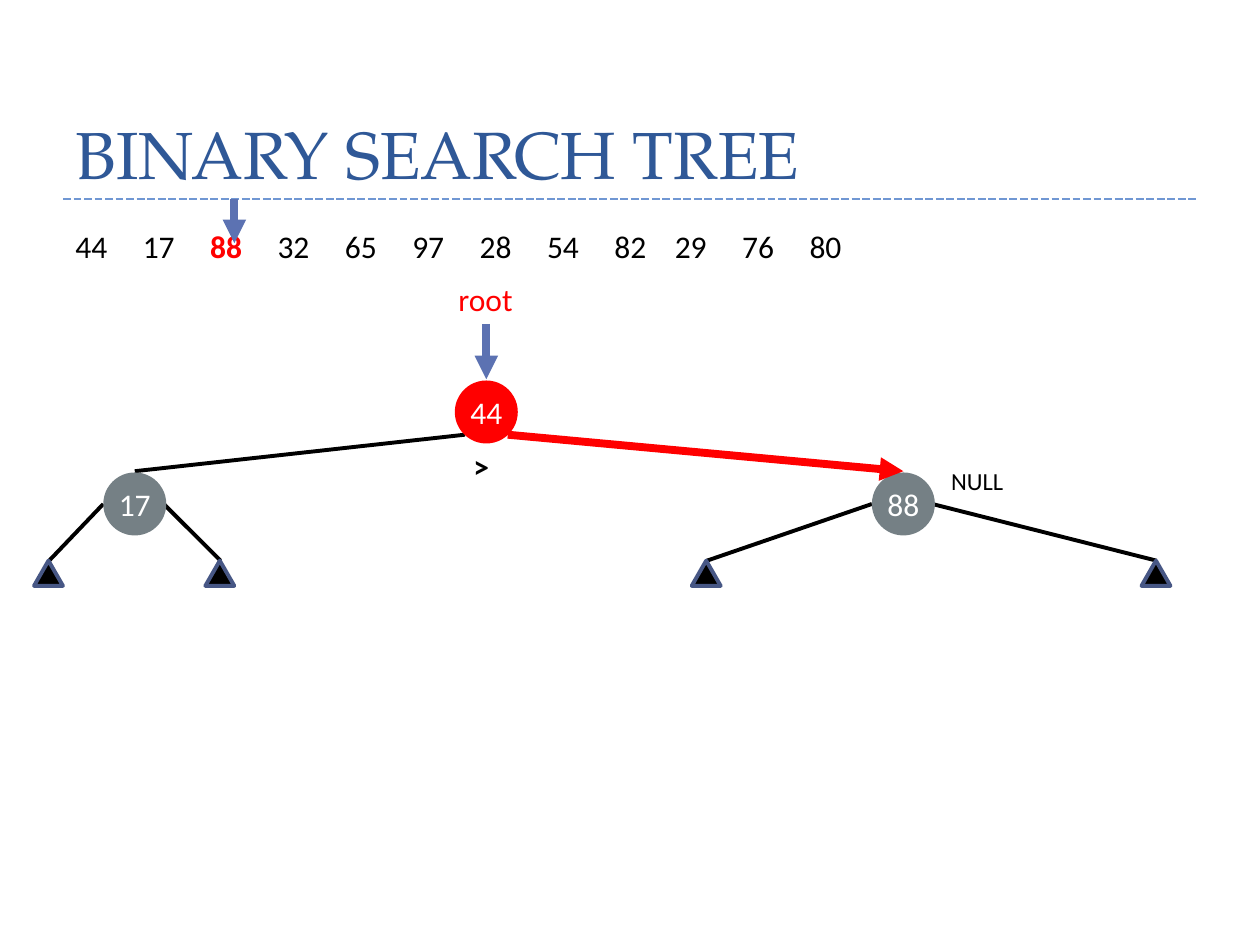
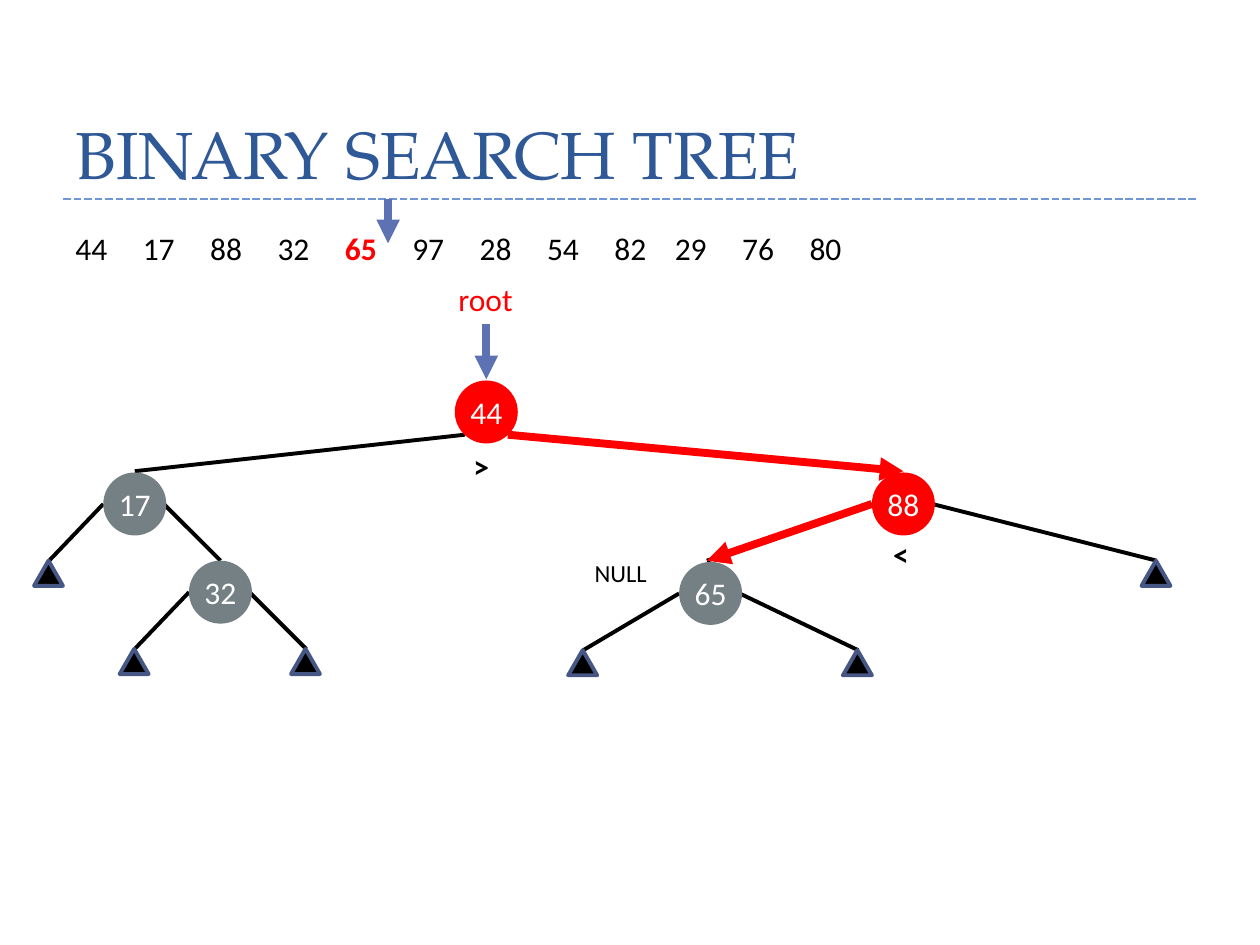
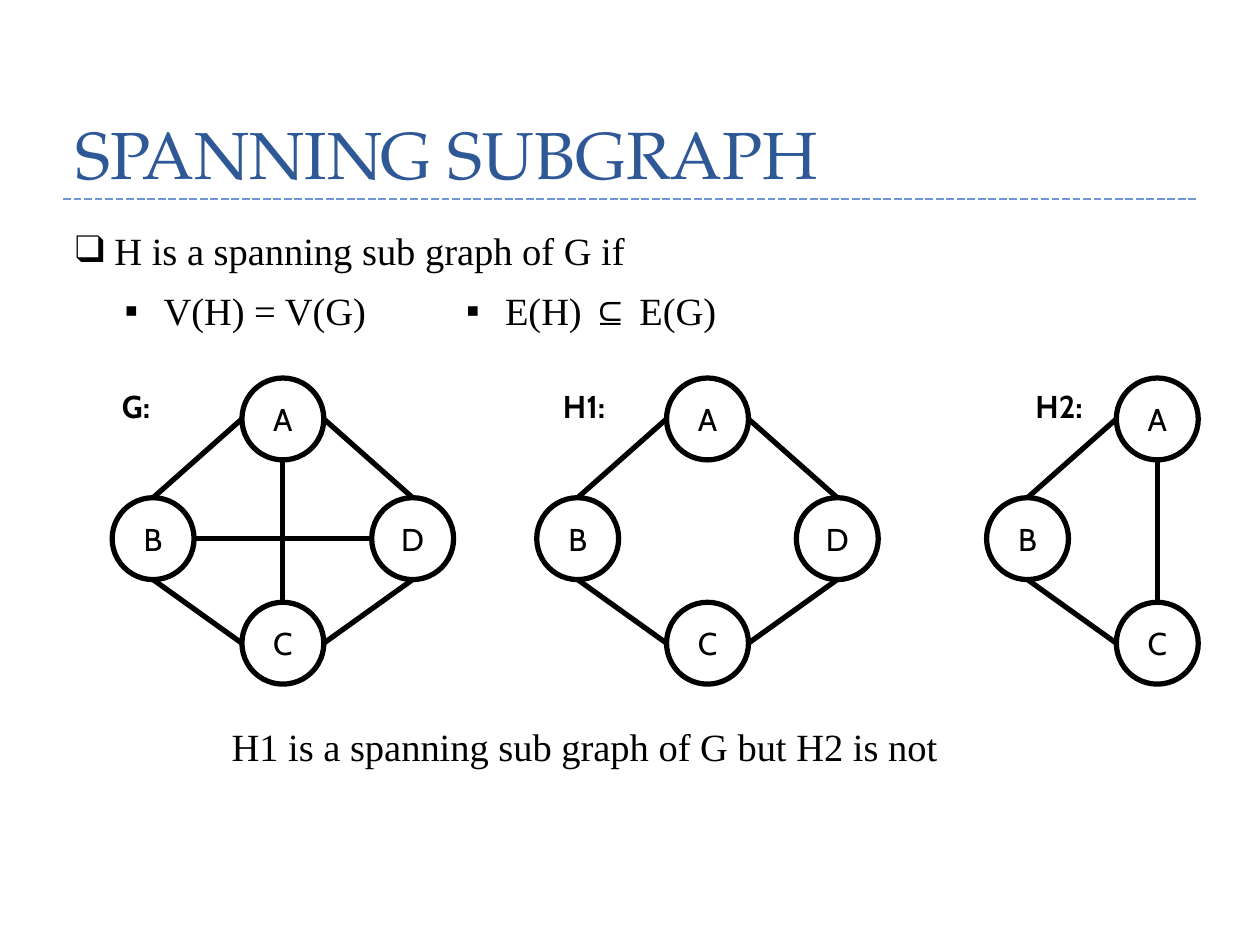
from dataclasses import dataclass

from lxml import etree
from pptx import Presentation
from pptx import util as u
from pptx.dml import color
from pptx.enum import dml, shapes, text
from pptx.oxml import ns


@dataclass(frozen=True)
class Theme:
    heading: str = "2F5897"
    rule: str = "7097D3"
    ink: str = "000000"
    paper: str = "FFFFFF"
    alert: str = "FF0000"
    pointer: str = "5C72B2"
    node: str = "758085"
    leaf_edge: str = "475785"
    heading_font: str = "TeX Gyre Pagella"
    tree_font: str = "Calibri"
    prose_font: str = "Times New Roman"
    graph_font: str = "Cabin"
    heading_size: float = 38
    heading_leading: float = 58
    prose_size: float = 22
    label_size: float = 18
    note_size: float = 14
    rule_width: float = 1.5
    edge_width: float = 2.25
    graph_width: float = 3
    arrow_width: float = 4.5


KEYS = [44, 17, 88, 32, 65, 97, 28, 54, 82, 29, 76, 80]
KEY_STEP = 38.5
SHORT_STEP_KEY = 29
SHORTENING = 4
NODE = 0.5
LEVEL = 0.7
VERTEX = 0.65
RIGHT_ROOT = (4.03, 3.45)
RIGHT_CHILD = (7.17, 3.74)

SIDES = {
    "top": (VERTEX / 2, 0),
    "left": (0, VERTEX / 2),
    "bottom": (VERTEX / 2, VERTEX),
    "right": (VERTEX, VERTEX / 2),
}
VERTICES = {"A": (1.03, 0), "B": (0, 0.95), "C": (1.03, 1.78), "D": (2.06, 0.95)}
RING = [
    ("A", "left", "B", "top"),
    ("B", "bottom", "C", "left"),
    ("C", "right", "D", "bottom"),
    ("D", "top", "A", "right"),
]
ACROSS = ("B", "right", "D", "left")
DOWN = ("A", "bottom", "C", "top")


def add_xml(parent, tag, **attributes):
    return etree.SubElement(parent, ns.qn(tag), attributes)


class Deck:
    def __init__(self, theme):
        self.theme = theme
        self.presentation = Presentation()
        self.presentation.slide_width = u.Inches(10)
        self.presentation.slide_height = u.Inches(7.5)
        self.slide = None

    def set_font(self, font, name, size, ink, bold=False):
        font.name = name
        font.size = u.Pt(size)
        font.bold = bold
        font.color.rgb = color.RGBColor.from_string(ink)

    def start(self, heading):
        theme = self.theme
        layout = self.presentation.slide_layouts.get_by_name("Title Only")
        self.slide = self.presentation.slides.add_slide(layout)
        title = self.slide.shapes.title
        title.left, title.top = u.Inches(0.5), u.Inches(-0.17)
        title.width, title.height = u.Inches(9), u.Inches(1.75)
        frame = title.text_frame
        frame.text = heading
        frame.vertical_anchor = text.MSO_ANCHOR.BOTTOM
        frame.auto_size = text.MSO_AUTO_SIZE.NONE
        paragraph = frame.paragraphs[0]
        paragraph.alignment = text.PP_ALIGN.LEFT
        paragraph.line_spacing = u.Pt(theme.heading_leading)
        self.set_font(paragraph.font, theme.heading_font, theme.heading_size, theme.heading)
        rule = self.line((0.5, 1.58), (9.5, 1.58), theme.rule, theme.rule_width)
        rule.line.dash_style = dml.MSO_LINE.SQUARE_DOT

    def line(self, begin, end, ink, width, arrow=False):
        connector = self.slide.shapes.add_connector(
            shapes.MSO_CONNECTOR.STRAIGHT, *map(u.Inches, (*begin, *end))
        )
        connector.line.color.rgb = color.RGBColor.from_string(ink)
        connector.line.width = u.Pt(width)
        properties = connector.element.spPr
        if arrow:
            add_xml(properties.get_or_add_ln(), "a:tailEnd", type="triangle")
        add_xml(properties, "a:effectLst")
        return connector

    def arrow(self, begin, end, ink):
        self.line(begin, end, ink, self.theme.arrow_width, arrow=True)

    def edge(self, begin, end):
        self.line(begin, end, self.theme.ink, self.theme.edge_width)

    def shape(self, kind, left, top, width, height, fill, outline=None, outline_width=0):
        shape = self.slide.shapes.add_shape(
            kind, *map(u.Inches, (left, top, width, height))
        )
        shape.shadow.inherit = False
        shape.fill.solid()
        shape.fill.fore_color.rgb = color.RGBColor.from_string(fill)
        if outline:
            shape.line.color.rgb = color.RGBColor.from_string(outline)
            shape.line.width = u.Pt(outline_width)
        else:
            shape.line.fill.background()
        return shape

    def circle(self, label, left, top, size, fill, font, ink, outline=None):
        circle = self.shape(
            shapes.MSO_SHAPE.OVAL, left, top, size, size, fill, outline, self.theme.graph_width
        )
        frame = circle.text_frame
        frame.margin_left = frame.margin_right = frame.margin_top = frame.margin_bottom = 0
        frame.word_wrap = False
        frame.vertical_anchor = text.MSO_ANCHOR.MIDDLE
        frame.text = label
        paragraph = frame.paragraphs[0]
        paragraph.alignment = text.PP_ALIGN.CENTER
        self.set_font(paragraph.font, font, self.theme.label_size, ink)

    def box(self, left, top, width, height, wrap=False):
        frame = self.slide.shapes.add_textbox(
            *map(u.Inches, (left, top, width, height))
        ).text_frame
        frame.word_wrap = wrap
        frame.auto_size = text.MSO_AUTO_SIZE.SHAPE_TO_FIT_TEXT
        return frame.paragraphs[0]

    def label(self, words, left, top, width, font, ink=None, size=None, bold=False):
        paragraph = self.box(left, top, width, 0.4)
        paragraph.text = words
        self.set_font(
            paragraph.font, font, size or self.theme.label_size, ink or self.theme.ink, bold
        )

    def prose(self, words, left, top, width, bullet=None):
        paragraph = self.box(left, top, width, 0.47)
        paragraph.text = words
        if bullet:
            properties = paragraph._p.get_or_add_pPr()
            properties.set("marL", str(u.Inches(0.31)))
            properties.set("indent", str(u.Inches(-0.31)))
            add_xml(properties, "a:buFont", typeface=self.theme.prose_font)
            add_xml(properties, "a:buChar", char=bullet)
        self.set_font(
            paragraph.font, self.theme.prose_font, self.theme.prose_size, self.theme.ink
        )

    def keys(self, current, top):
        paragraph = self.box(0.5, top, 6.78, 0.4, wrap=True)
        stops = add_xml(paragraph._p.get_or_add_pPr(), "a:tabLst")
        short_from = KEYS.index(SHORT_STEP_KEY)
        for place in range(1, len(KEYS)):
            offset = place * KEY_STEP - (SHORTENING if place >= short_from else 0)
            add_xml(stops, "a:tab", pos=str(u.Pt(offset)), algn="l")
        self.set_font(
            paragraph.font, self.theme.tree_font, self.theme.label_size, self.theme.ink
        )
        for place, key in enumerate(KEYS):
            run = paragraph.add_run()
            run.text = f"\t{key}" if place else str(key)
            if key == current:
                run.font.bold = True
                run.font.color.rgb = color.RGBColor.from_string(self.theme.alert)

    def node(self, key, left, top, fill):
        self.circle(str(key), left, top, NODE, fill, self.theme.tree_font, self.theme.paper)

    def leaf(self, apex, top):
        self.shape(
            shapes.MSO_SHAPE.ISOSCELES_TRIANGLE, apex - 0.12, top, 0.23, 0.2,
            self.theme.ink, self.theme.leaf_edge, self.theme.edge_width,
        )

    def branch(self, key, left, top, children, leaves, fill=None):
        for start, child in zip((left, left + 0.48), children):
            self.edge((start, top + NODE / 2), (child, top + LEVEL))
        for apex in leaves:
            self.leaf(apex, top + LEVEL)
        self.node(key, left, top, fill or self.theme.node)

    def comparison(self, sign, left, top):
        self.label(sign, left, top, 0.37, self.theme.tree_font, bold=True)

    def null(self, left, top):
        self.label("NULL", left, top, 0.78, self.theme.tree_font, size=self.theme.note_size)

    def insertion(self, current, keys_top, pointer):
        theme = self.theme
        self.start("BINARY SEARCH TREE")
        self.keys(current, keys_top)
        self.arrow((pointer, 1.58), (pointer, 1.93), theme.pointer)
        self.label("root", 3.54, 2.17, 0.64, theme.tree_font, theme.alert)
        self.edge((3.69, 3.45), (1.07, 3.74))
        self.arrow((3.86, 2.57), (3.86, 3.01), theme.pointer)
        self.node(44, 3.61, 3.02, theme.alert)
        self.comparison(">", 3.66, 3.5)

    def graph(self, name, name_left, name_width, left, vertices, edges):
        theme = self.theme
        top = 3
        corners = {v: (left + VERTICES[v][0], top + VERTICES[v][1]) for v in vertices}
        for vertex, corner in corners.items():
            self.circle(
                vertex, *corner, VERTEX, theme.paper, theme.graph_font, theme.ink, theme.ink
            )
        for first, first_side, second, second_side in edges:
            begin, end = (
                [a + b for a, b in zip(corners[vertex], SIDES[side])]
                for vertex, side in ((first, first_side), (second, second_side))
            )
            self.line(begin, end, theme.ink, theme.graph_width)
        self.label(name, name_left, 3.02, name_width, theme.graph_font, bold=True)


def insert_88(deck):
    deck.insertion(88, 1.75, 1.86)
    deck.branch(17, 0.82, 3.75, (0.39, 1.75), (0.39, 1.75))
    deck.branch(88, 6.92, 3.75, (5.61, 9.18), (5.61, 9.18))
    deck.arrow(RIGHT_ROOT, RIGHT_CHILD, deck.theme.alert)
    deck.null(7.45, 3.65)


def insert_65(deck):
    alert = deck.theme.alert
    deck.insertion(65, 1.77, 3.08)
    deck.branch(17, 0.82, 3.75, (0.39, 1.75), (0.39,))
    deck.branch(32, 1.5, 4.45, (1.07, 2.43), (1.07, 2.43))
    deck.arrow(RIGHT_ROOT, RIGHT_CHILD, alert)
    deck.branch(88, 6.92, 3.75, (5.61, 9.18), (9.18,), alert)
    deck.comparison("<", 6.99, 4.2)
    deck.arrow((6.92, 4), (5.61, 4.45), alert)
    deck.null(4.62, 4.38)
    deck.branch(65, 5.39, 4.46, (4.63, 6.81), (4.63, 6.81))


def spanning_subgraph(deck):
    deck.start("SPANNING SUBGRAPH")
    deck.prose("H is a spanning sub graph of G if", 0.5, 1.75, 4.61, "❑")
    deck.prose("V(H) = V(G)", 0.89, 2.23, 2.22, "▪")
    deck.prose("E(H) ⊆ E(G)", 3.6, 2.23, 2.22, "▪")
    deck.graph("G:", 0.87, 0.43, 0.89, "ABCD", [*RING, ACROSS, DOWN])
    deck.graph("H1:", 4.37, 0.6, 4.26, "ABCD", RING)
    deck.graph("H2:", 8.12, 0.6, 7.83, "ABC", [*RING[:2], DOWN])
    deck.prose("H1 is a spanning sub graph of G but H2 is not", 1.74, 5.69, 5.94)


def main():
    deck = Deck(Theme())
    insert_88(deck)
    insert_65(deck)
    spanning_subgraph(deck)
    deck.presentation.save("out.pptx")


if __name__ == "__main__":
    main()
